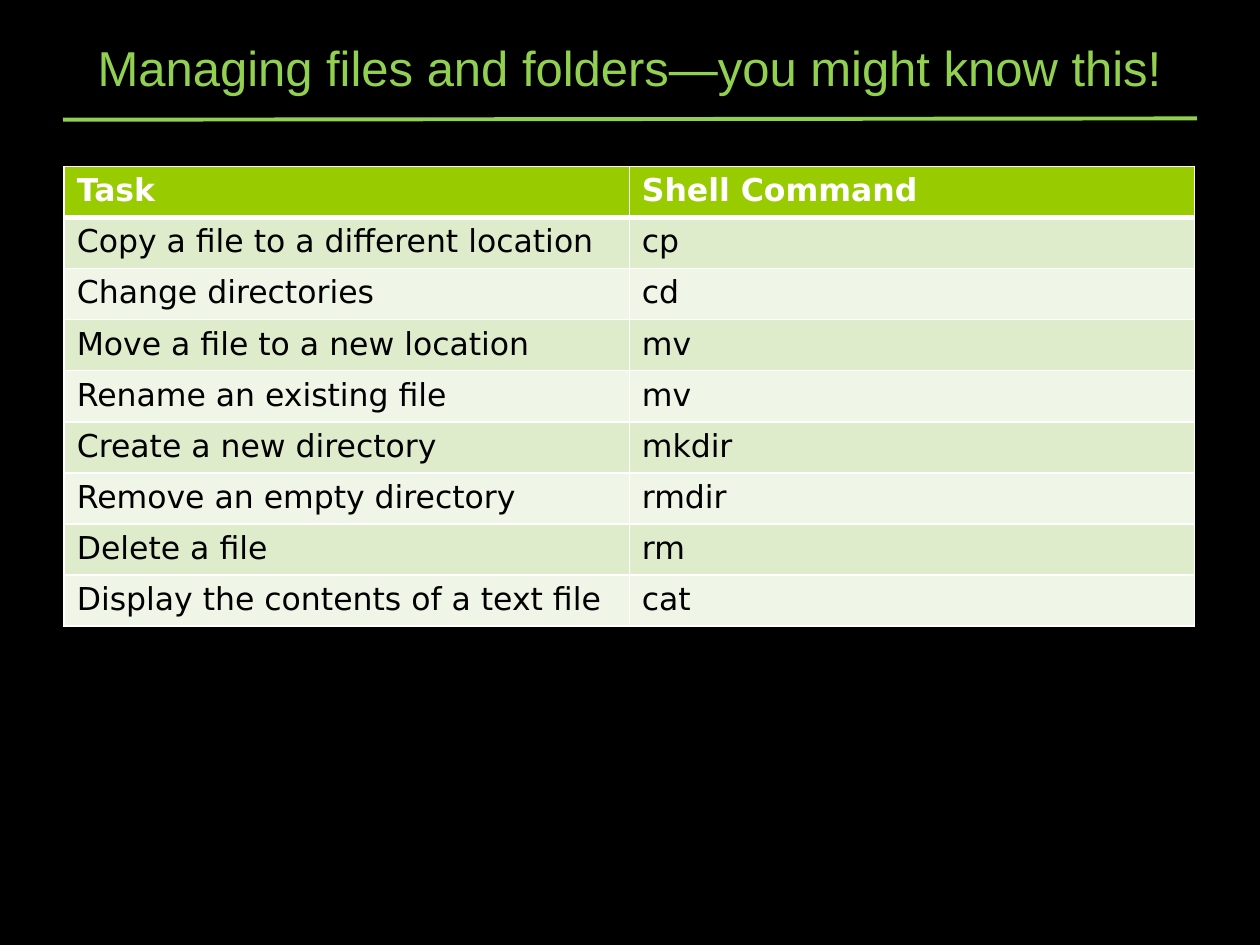
"""Build a slide that lists file and folder commands."""
from dataclasses import dataclass

from pptx import Presentation
from pptx.dml.color import RGBColor
from pptx.enum import shapes, text
from pptx.oxml import xmlchemy
from pptx.util import Inches, Pt


@dataclass(frozen=True)
class Theme:
    """Colours, fonts and sizes of the slide."""
    background: str = "000000"
    accent: str = "92D050"
    header: str = "99CC00"
    bands: tuple = ("DEECCC", "EFF6E7")
    light: str = "FFFFFF"
    dark: str = "000000"
    title_font: str = "Arial"
    body_font: str = "DejaVu Sans"
    title_size: int = 28
    body_size: int = 18
    rule_width: float = 2.25
    border_width: int = 1
    header_border_width: int = 3


THEME = Theme()
TITLE = "Managing files and folders—you might know this!"
COMMANDS = [
    ("Task", "Shell Command"),
    ("Copy a file to a different location", "cp"),
    ("Change directories", "cd"),
    ("Move a file to a new location", "mv"),
    ("Rename an existing file", "mv"),
    ("Create a new directory", "mkdir"),
    ("Remove an empty directory", "rmdir"),
    ("Delete a file", "rm"),
    ("Display the contents of a text file", "cat"),
]


def rgb(value):
    """Return the colour for a hex value."""
    return RGBColor.from_string(value)


def style_runs(paragraph, font, size, color, bold=False):
    """Format every run of a paragraph."""
    for run in paragraph.runs:
        run.font.name = font
        run.font.size = Pt(size)
        run.font.color.rgb = rgb(color)
        run.font.bold = bold


def add_title(slide, left, top, width, height):
    """Place the centred title in its box."""
    frame = slide.shapes.add_textbox(left, top, width, height).text_frame
    frame.word_wrap = True
    frame.vertical_anchor = text.MSO_ANCHOR.BOTTOM
    frame.text = TITLE
    heading = frame.paragraphs[0]
    heading.alignment = text.PP_ALIGN.CENTER
    style_runs(heading, THEME.title_font, THEME.title_size, THEME.accent)


def add_rule(slide, left, top, width, height):
    """Draw the rule under the title, rising slightly to the right."""
    rule = slide.shapes.add_connector(
        shapes.MSO_CONNECTOR.STRAIGHT, left, top + height, left + width, top)
    rule.line.color.rgb = rgb(THEME.accent)
    rule.line.width = Pt(THEME.rule_width)
    rule._element.spPr.append(xmlchemy.OxmlElement("a:effectLst"))


def add_border(cell, side, width):
    """Draw one side of a cell's border."""
    border = xmlchemy.OxmlElement(f"a:ln{side}")
    border.set("w", str(Pt(width)))
    fill = xmlchemy.OxmlElement("a:solidFill")
    color = xmlchemy.OxmlElement("a:srgbClr")
    color.set("val", THEME.light)
    fill.append(color)
    border.append(fill)
    cell._tc.get_or_add_tcPr().append(border)


def style_cell(cell, row):
    """Give a cell the look of its row."""
    is_header = row == 0
    heavy_side = {0: "B", 1: "T"}.get(row)
    for side in "LRTB":
        heavy = side == heavy_side
        add_border(cell, side, THEME.header_border_width if heavy else THEME.border_width)
    cell.fill.solid()
    cell.fill.fore_color.rgb = rgb(THEME.header if is_header else THEME.bands[(row - 1) % 2])
    style_runs(cell.text_frame.paragraphs[0], THEME.body_font, THEME.body_size,
               THEME.light if is_header else THEME.dark, is_header)


def add_commands(slide, left, top, width, height):
    """Fill the box with the table of tasks and commands."""
    table = slide.shapes.add_table(
        len(COMMANDS), len(COMMANDS[0]), left, top, width, height).table
    for row, entries in enumerate(COMMANDS):
        for column, entry in enumerate(entries):
            cell = table.cell(row, column)
            cell.text_frame.text = entry
            style_cell(cell, row)


def main():
    """Build and save the slide."""
    deck = Presentation()
    deck.slide_width, deck.slide_height = Inches(10), Inches(7.5)
    slide = deck.slides.add_slide(deck.slide_layouts[6])
    slide.background.fill.solid()
    slide.background.fill.fore_color.rgb = rgb(THEME.background)
    left, width = Inches(0.51), Inches(8.97)
    add_rule(slide, Inches(0.5), Inches(0.94), Inches(9), Inches(0.01))
    add_title(slide, left, Inches(0.26), width, Inches(0.55))
    add_commands(slide, left, Inches(1.32), width, Inches(3.65))
    deck.save("out.pptx")


if __name__ == "__main__":
    main()
